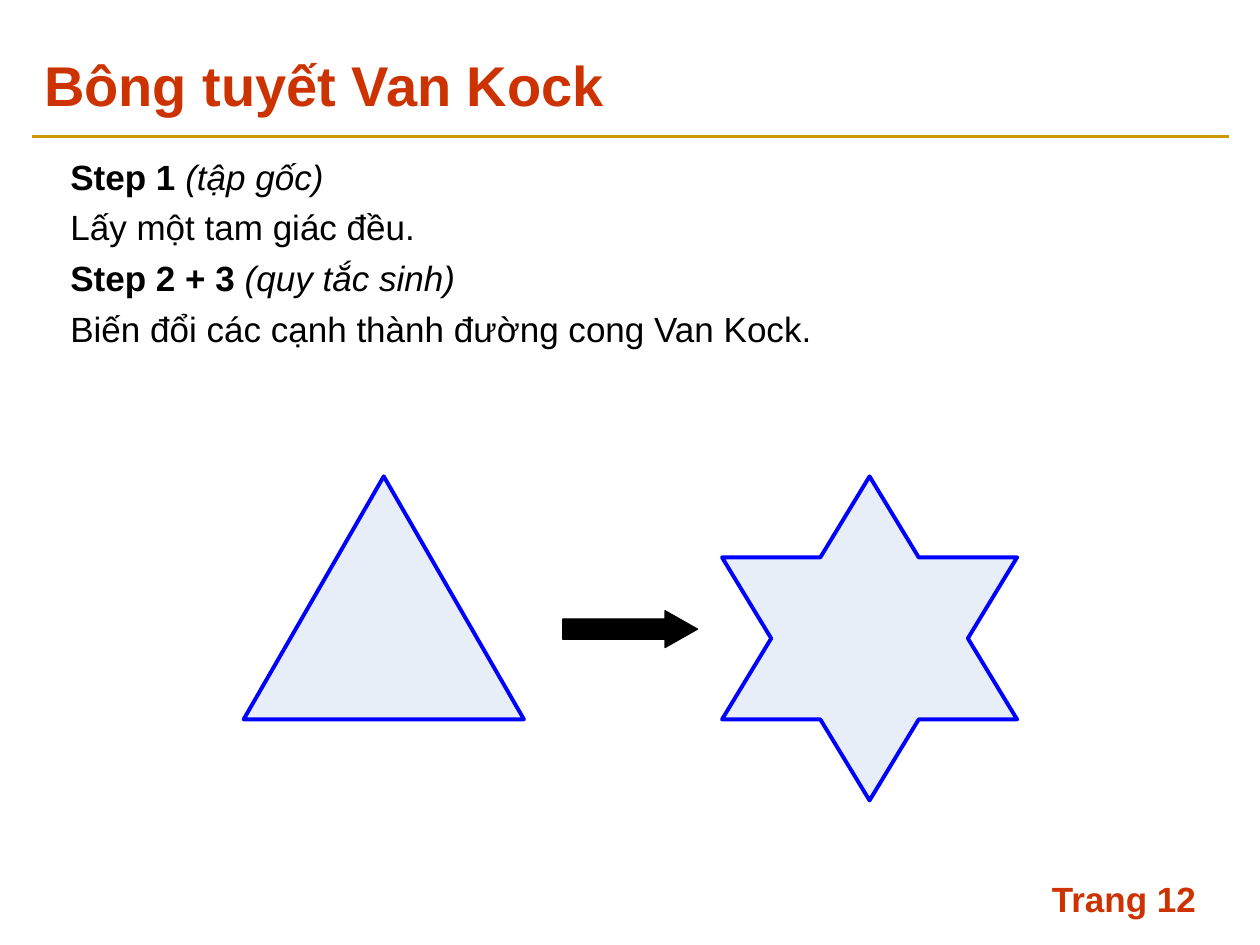
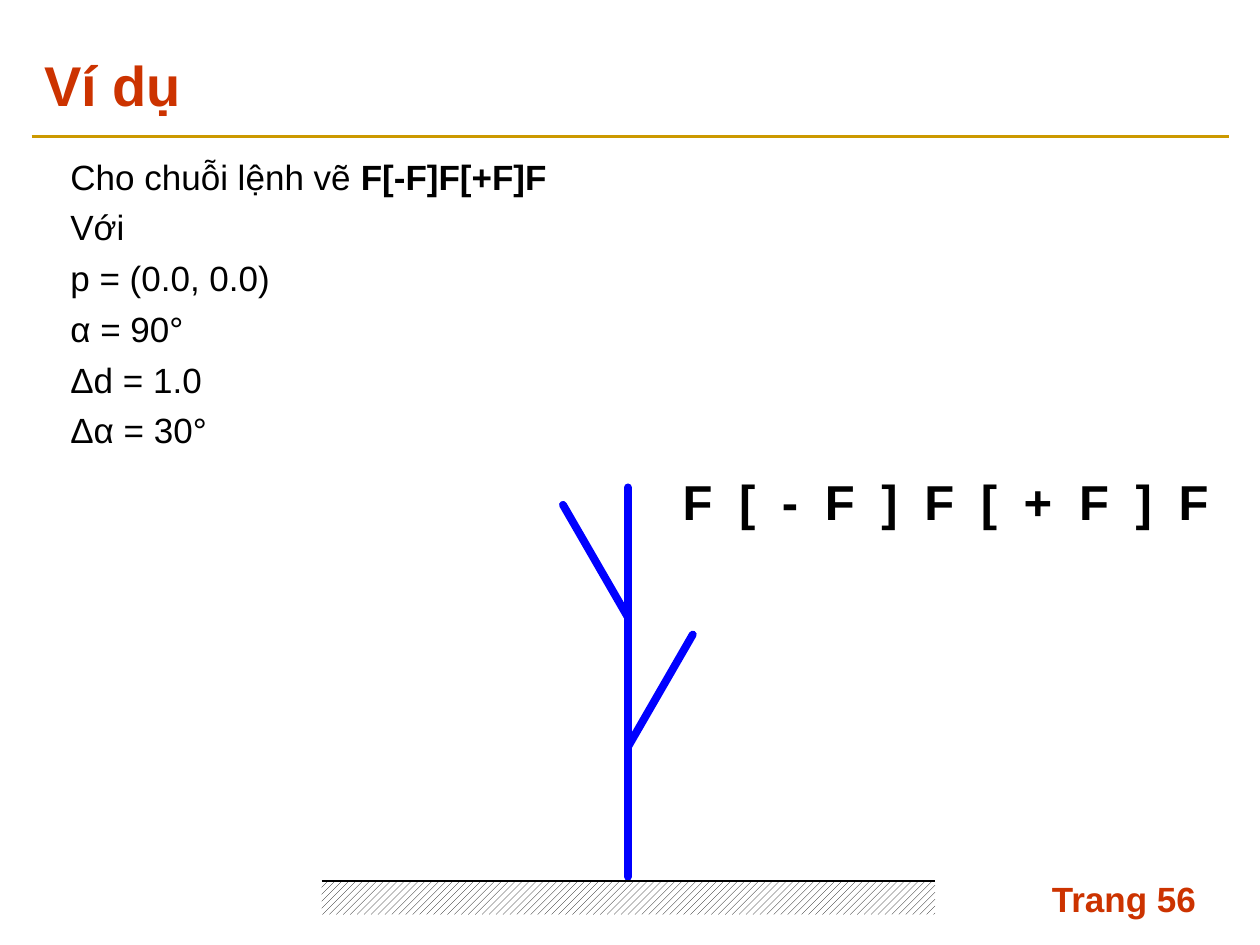
from dataclasses import dataclass
from math import cos, radians, sin

from pptx import Presentation
from pptx.dml.color import RGBColor
from pptx.enum.dml import MSO_PATTERN
from pptx.enum.shapes import MSO_CONNECTOR, MSO_SHAPE
from pptx.enum.text import MSO_ANCHOR, MSO_AUTO_SIZE, PP_ALIGN
from pptx.oxml.ns import qn
from pptx.util import Pt
from lxml.etree import SubElement


@dataclass(frozen=True)
class Theme:
    font: str = "Arial"
    accent: RGBColor = RGBColor(0xCC, 0x33, 0x00)
    rule: RGBColor = RGBColor(0xCC, 0x99, 0x00)
    ink: RGBColor = RGBColor(0x00, 0x00, 0x00)
    paper: RGBColor = RGBColor(0xFF, 0xFF, 0xFF)
    drawing: RGBColor = RGBColor(0x00, 0x00, 0xFF)
    shade: RGBColor = RGBColor(0xE8, 0xEE, 0xF7)
    title_size: int = 32
    command_size: int = 28
    body_size: int = 20


THEME = Theme()
COMMANDS = "F[-F]F[+F]F"
COMMAND_WIDTHS = {"F": 32.3, "+": 31.7}
BRACKET_WIDTH = 24.5
TRIANGLE = [(1, 0), (2, 1), (0, 1)]
SNOWFLAKE = [(3, 0), (4, 1), (6, 1), (5, 2), (6, 3), (4, 3),
             (3, 4), (2, 3), (0, 3), (1, 2), (0, 1), (2, 1)]


def set_font(font, size, color, bold=False):
    font.name = THEME.font
    font.size = Pt(size)
    font.color.rgb = color
    font.bold = bold


def place(shape, left, top, width, height):
    shape.left, shape.top = Pt(left), Pt(top)
    shape.width, shape.height = Pt(width), Pt(height)


def add_line(page, start, end, color, weight, round_cap=False):
    line = page.shapes.add_connector(
        MSO_CONNECTOR.STRAIGHT, *(Pt(value) for value in (*start, *end)))
    line.line.color.rgb = color
    line.line.width = Pt(weight)
    if round_cap:
        line.line._get_or_add_ln().set("cap", "rnd")
    SubElement(line._element.spPr, qn("a:effectLst"))


def add_label(page, text, left, top, width, height, size, color):
    box = page.shapes.add_textbox(Pt(left), Pt(top), Pt(width), Pt(height))
    frame = box.text_frame
    frame.word_wrap = False
    para = frame.paragraphs[0]
    para.text = text
    set_font(para.font, size, color, bold=True)


def add_page(deck, title, number):
    page = deck.slides.add_slide(deck.slide_layouts[1])
    add_line(page, (18, 78), (702, 78), THEME.rule, 2.25)
    add_label(page, f"Trang {number}", 594, 498, 108, 36, THEME.body_size, THEME.accent)
    heading = page.shapes.title
    place(heading, 18, 24, 684, 48)
    frame = heading.text_frame
    frame.text = title
    frame.vertical_anchor = MSO_ANCHOR.MIDDLE
    frame.auto_size = MSO_AUTO_SIZE.NONE
    para = frame.paragraphs[0]
    para.alignment = PP_ALIGN.LEFT
    set_font(para.font, THEME.title_size, THEME.accent, bold=True)
    return page


def fill_body(page, lines, height):
    body = page.placeholders[1]
    place(body, 33, 85, 655, height)
    frame = body.text_frame
    frame.auto_size = MSO_AUTO_SIZE.NONE
    for index, line in enumerate(lines):
        para = frame.add_paragraph() if index else frame.paragraphs[0]
        properties = para._p.get_or_add_pPr()
        properties.set("marL", "0")
        properties.set("indent", "0")
        para.space_before = Pt(5 if index else 0)
        SubElement(properties, qn("a:buNone"))
        set_font(para.font, THEME.body_size, THEME.ink)
        for text, style in line:
            span = para.add_run()
            span.text = text
            if style == "bold":
                span.font.bold = True
            elif style == "italic":
                span.font.italic = True


def add_outline(page, points, left, top, column, row):
    builder = page.shapes.build_freeform(*points[0], scale=(Pt(column), Pt(row)))
    builder.add_line_segments(points[1:], close=True)
    outline = builder.convert_to_shape(Pt(left), Pt(top))
    outline.shadow.inherit = False
    outline.fill.solid()
    outline.fill.fore_color.rgb = THEME.shade
    outline.line.color.rgb = THEME.drawing
    outline.line.width = Pt(2.25)
    SubElement(outline.line._get_or_add_ln(), qn("a:round"))


def add_arrow(page, left, top, width, height):
    arrow = page.shapes.add_shape(
        MSO_SHAPE.RIGHT_ARROW, Pt(left), Pt(top), Pt(width), Pt(height))
    arrow.shadow.inherit = False
    arrow.adjustments[0] = 0.55
    arrow.adjustments[1] = 0.88
    arrow.fill.solid()
    arrow.fill.fore_color.rgb = THEME.ink
    arrow.line.color.rgb = THEME.ink
    arrow.line.width = Pt(0.75)


def draw_plant(page, commands, x, y, angle, step, turn):
    saved = []
    for command in commands:
        if command == "F":
            end = (x + step * cos(radians(angle)), y - step * sin(radians(angle)))
            add_line(page, (x, y), end, THEME.drawing, 4.5, round_cap=True)
            x, y = end
        elif command == "[":
            saved.append((x, y, angle))
        elif command == "]":
            x, y, angle = saved.pop()
        else:
            angle += turn if command == "+" else -turn


def add_ground(page, left, top, width, height):
    ground = page.shapes.add_shape(
        MSO_SHAPE.RECTANGLE, Pt(left), Pt(top), Pt(width), Pt(height))
    ground.shadow.inherit = False
    ground.fill.patterned()
    ground.fill.pattern = MSO_PATTERN.WIDE_UPWARD_DIAGONAL
    ground.fill.fore_color.rgb = THEME.ink
    ground.fill.back_color.rgb = THEME.paper
    ground.line.fill.background()
    add_line(page, (left, top), (left + width, top), THEME.ink, 0.75)


def add_commands(page, commands, left, top):
    for command in commands:
        width = COMMAND_WIDTHS.get(command, BRACKET_WIDTH)
        add_label(page, command, left, top, width, 41, THEME.command_size, THEME.ink)
        left += width


def build_snowflake_page(deck):
    page = add_page(deck, "Bông tuyết Van Kock", 12)
    fill_body(page, [
        [("Step 1", "bold"), (" (tập gốc)", "italic")],
        [("Lấy một tam giác đều.", "plain")],
        [("Step 2 + 3", "bold"), (" (quy tắc sinh)", "italic")],
        [("Biến đổi các cạnh thành đường cong Van Kock.", "plain")],
    ], 414)
    add_outline(page, TRIANGLE, 139.2, 272.2, 80.1, 138.9)
    add_outline(page, SNOWFLAKE, 412.6, 272.2, 28.1, 46.3)
    add_arrow(page, 321.6, 349, 77, 21)


def build_example_page(deck):
    page = add_page(deck, "Ví dụ", 56)
    fill_body(page, [
        [("Cho chuỗi lệnh vẽ ", "plain"), (COMMANDS, "bold")],
        [("Với", "plain")],
        [("p = (0.0, 0.0)", "plain")],
        [("α = 90°", "plain")],
        [("Δd = 1.0", "plain")],
        [("Δα = 30°", "plain")],
    ], 175)
    draw_plant(page, COMMANDS, 358.8, 501, angle=90, step=74.15, turn=30)
    add_ground(page, 183.8, 503.4, 350.6, 19.2)
    add_commands(page, COMMANDS, 383, 265.7)


def main():
    deck = Presentation()
    deck.slide_width, deck.slide_height = Pt(720), Pt(540)
    build_snowflake_page(deck)
    build_example_page(deck)
    deck.save("out.pptx")


if __name__ == "__main__":
    main()
